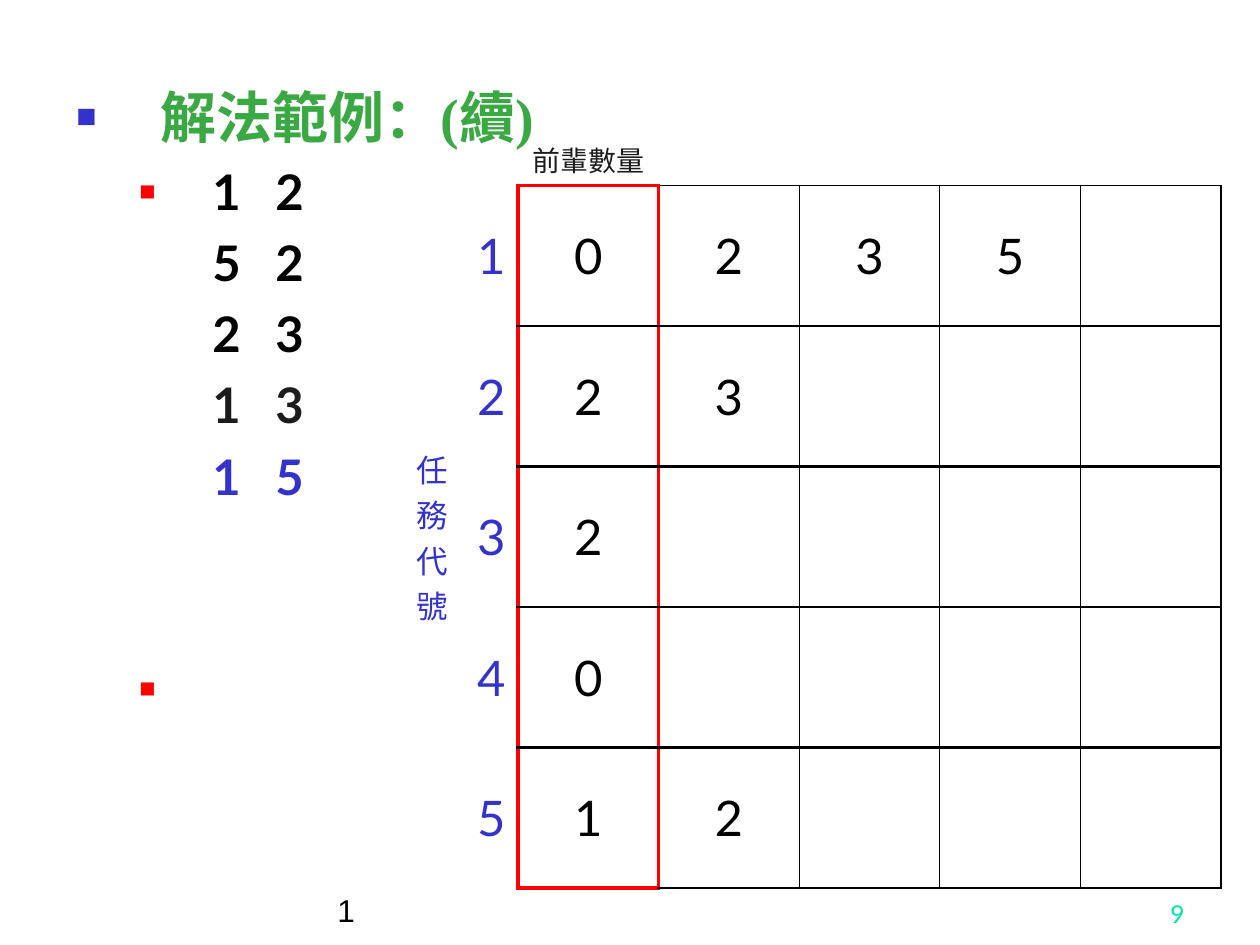
from lxml import etree
from pptx import Presentation
from pptx.dml.color import RGBColor
from pptx.enum.text import MSO_ANCHOR, PP_ALIGN
from pptx.oxml.ns import qn
from pptx.util import Pt

PX = 914400 // 126
CENTER, RIGHT = PP_ALIGN.CENTER, PP_ALIGN.RIGHT
MIDDLE, BOTTOM = MSO_ANCHOR.MIDDLE, MSO_ANCHOR.BOTTOM
NO_STYLE = "{2D5ABB26-0587-4C30-8999-92F81FD0307C}"
COLORS = {"title": "3BA943", "blue": "3333CC", "red": "FF0000",
          "black": "000000", "dark": "1C1C1C", "number": "00E4A8"}
RED_LINE = ("red", 2.21)
THIN, EDGE, RULE = ("black", 0.45), ("black", 1.08), ("black", 1.47)

PAIRS = [("1\t2", "black"), ("5\t2", "black"), ("2\t3", "black"),
         ("1\t3", "dark"), ("1\t5", "blue")]
TASKS = [["0", "2", "3", "5"], ["2", "3"], ["2"], ["0"], ["1", "2"]]
SIZE = 5


def px(n):
    return n * PX


def rgb(name):
    return RGBColor.from_string(COLORS[name])


def style(p, size, color, font="Lato", bold=False):
    for r in p.runs:
        r.font.size = Pt(size)
        r.font.name = font
        r.font.bold = bold
        r.font.color.rgb = rgb(color)


def add_text_box(s, x, y, w, h):
    tf = s.shapes.add_textbox(px(x), px(y), px(w), px(h)).text_frame
    tf.word_wrap = True
    return tf


def child(parent, tag, **attrs):
    return etree.SubElement(parent, qn(tag), {k: str(v) for k, v in attrs.items()})


def set_indent(p, left, hanging=0, bullet=None, percent=100, tab=None):
    """Indent a paragraph, with an optional square bullet and tab stop."""
    pPr = p._p.get_or_add_pPr()
    pPr.set("marL", str(px(left)))
    pPr.set("indent", str(-px(hanging)))
    if bullet:
        child(child(pPr, "a:buClr"), "a:srgbClr", val=COLORS[bullet])
        child(pPr, "a:buSzPct", val=percent * 1000)
        child(pPr, "a:buFont", typeface="Arial")
        child(pPr, "a:buChar", char="■")
    else:
        child(pPr, "a:buNone")
    if tab:
        child(child(pPr, "a:tabLst"), "a:tab", pos=px(tab), algn="l")


def add_outline(s, x, y, w, h):
    tf = add_text_box(s, x, y, w, h)
    p = tf.paragraphs[0]
    p.text = "解法範例：(續)"
    set_indent(p, 84, 84, "blue", 60)
    style(p, 32, "title", "Times New Roman", True)
    for i, (text, color) in enumerate(PAIRS):
        p = tf.add_paragraph()
        p.text = text
        if i == 0:
            set_indent(p, 136, 73, "red", 55, tab=199)
        else:
            set_indent(p, 136, tab=199)
        p.space_before = Pt(7)
        style(p, 28, color, bold=True)
    p = tf.add_paragraph()
    p.text = " "
    set_indent(p, 136, 73, "red", 55)
    p.space_before = Pt(88)
    style(p, 28, "black", bold=True)


def set_borders(cell, *lines):
    """Draw the left, right, top and bottom borders, in that order."""
    tcPr = cell._tc.get_or_add_tcPr()
    for i, (side, (color, width)) in enumerate(zip("LRTB", lines)):
        ln = child(tcPr, f"a:ln{side}", w=Pt(width))
        child(child(ln, "a:solidFill"), "a:srgbClr", val=COLORS[color])
        tcPr.insert(i, ln)


def set_cell(cell, text, size, color, align, anchor=MIDDLE):
    cell.text = text
    cell.vertical_anchor = anchor
    p = cell.text_frame.paragraphs[0]
    p.alignment = align
    style(p, size, color)


def border_lines(row, col):
    """Borders of a grid cell: red round the count column, black elsewhere."""
    count = col == 0
    left = RED_LINE if col <= 1 else THIN
    right = RED_LINE if count else EDGE if col == SIZE - 1 else THIN
    outer = RED_LINE if count else EDGE
    top = outer if row == 0 else RULE
    bottom = outer if row == SIZE - 1 else RULE
    return left, right, top, bottom


def add_task_table(s, x, y, w, h):
    rows, cols = SIZE + 1, SIZE + 2
    frame = s.shapes.add_table(rows, cols, px(x), px(y), px(w), px(h))
    table = frame.table
    table.first_row = table.horz_banding = False
    table._tbl.tblPr.find(qn("a:tableStyleId")).text = NO_STYLE
    labels = [59, 57]
    grid_w = w - sum(labels)
    for i, column in enumerate(table.columns):
        column.width = px(labels[i]) if i < 2 else px(grid_w) // SIZE
    for row in table.rows:
        row.height = px(h) // rows
    for cell in table.iter_cells():
        cell.fill.background()

    table.cell(0, 4).merge(table.cell(0, 6))
    table.cell(1, 0).merge(table.cell(SIZE, 0))
    set_cell(table.cell(0, 2), "前輩數量", 16, "dark", CENTER, BOTTOM)
    set_cell(table.cell(1, 0), "任務代號", 18, "blue", RIGHT)
    for i, values in enumerate(TASKS):
        set_cell(table.cell(i + 1, 1), str(i + 1), 28, "blue", RIGHT)
        for j in range(SIZE):
            cell = table.cell(i + 1, j + 2)
            if j < len(values):
                set_cell(cell, values[j], 28, "black", CENTER)
            set_borders(cell, *border_lines(i, j))


def add_footer(s, x, y, w, h, text, size, color, font, align=None):
    tf = add_text_box(s, x, y, w, h)
    tf.vertical_anchor = BOTTOM
    p = tf.paragraphs[0]
    p.text = text
    p.alignment = align
    style(p, size, color, font)


def main():
    prs = Presentation()
    prs.slide_width, prs.slide_height = px(1260), px(945)
    s = prs.slides.add_slide(prs.slide_layouts[6])
    add_outline(s, 64, 76, 1131, 804)
    add_task_table(s, 402, 45, 819, 843)
    add_footer(s, 325, 872, 683, 63, "1", 18, "black", "Arial")
    add_footer(s, 935, 872, 262, 63, "9", 14, "number", "Lato", RIGHT)
    prs.save("out.pptx")


if __name__ == "__main__":
    main()
